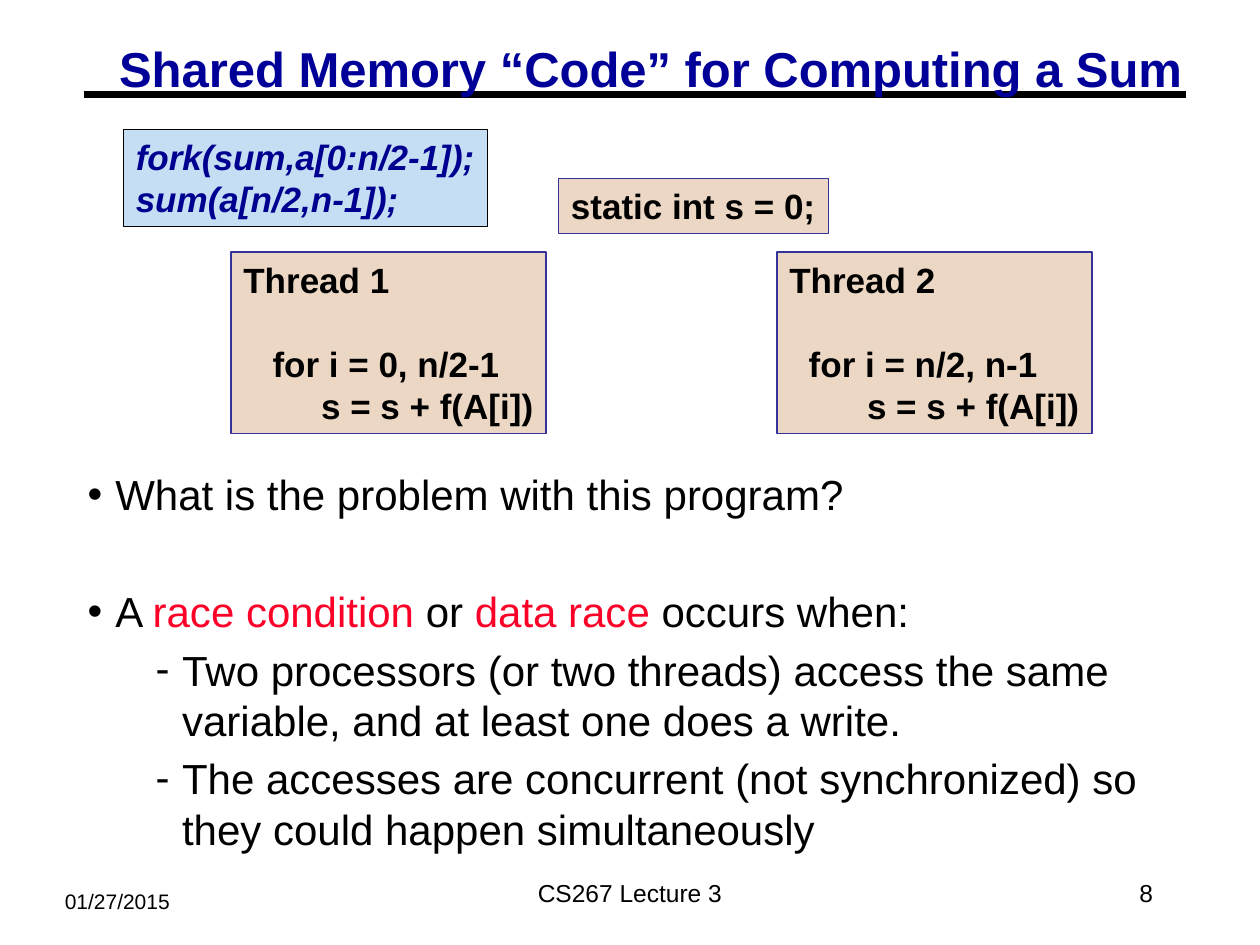
from lxml.etree import SubElement
from pptx import Presentation
from pptx.dml.color import RGBColor
from pptx.enum.shapes import MSO_CONNECTOR, MSO_SHAPE
from pptx.enum.text import MSO_ANCHOR, MSO_AUTO_SIZE, PP_ALIGN
from pptx.oxml.ns import qn
from pptx.util import Inches, Pt

COLUMNS, ROWS = 120, 90
BLACK, RED, NAVY = "000000", "FC0128", "000099"
TAN, INDIGO = "EBD7C3", "333399"
CODE = {"size": Pt(20), "bold": True}
NARROW = (0.07, 0.03)
WIDE = (0.1, 0.05)


def color(value):
    return RGBColor.from_string(value)


def set_attributes(target, values):
    for name, value in values.items():
        setattr(target, name, value)


class LectureSlide:
    font_name = "Arial"

    def __init__(self, presentation):
        self.slide = presentation.slides.add_slide(presentation.slide_layouts[1])
        self.column = presentation.slide_width / COLUMNS
        self.row = presentation.slide_height / ROWS

    def area(self, left, top, width, height):
        """Turn grid columns and rows into slide lengths."""
        return (round(left * self.column), round(top * self.row),
                round(width * self.column), round(height * self.row))

    def place(self, shape, grid):
        names = ("left", "top", "width", "height")
        set_attributes(shape, dict(zip(names, self.area(*grid))))

    def frame(self, shape, margins, wrap=True, anchor=MSO_ANCHOR.TOP):
        side, edge = (Inches(margin) for margin in margins)
        set_attributes(shape.text_frame, {
            "auto_size": MSO_AUTO_SIZE.NONE, "word_wrap": wrap,
            "vertical_anchor": anchor, "margin_left": side,
            "margin_right": side, "margin_top": edge, "margin_bottom": edge})
        return shape.text_frame

    def add_runs(self, paragraph, runs, font, **layout):
        """Add runs, each a (text, colour) pair, to a paragraph."""
        set_attributes(paragraph, {"alignment": PP_ALIGN.LEFT, **layout})
        for text, ink in runs:
            run = paragraph.add_run()
            run.text = text
            set_attributes(run.font, {"name": self.font_name, **font})
            run.font.color.rgb = color(ink)

    def paragraphs(self, text_frame, count):
        return [text_frame.paragraphs[0]] + [
            text_frame.add_paragraph() for _ in range(count - 1)]

    def title(self, text, grid):
        shape = self.slide.shapes.title
        self.place(shape, grid)
        text_frame = self.frame(shape, NARROW)
        self.add_runs(text_frame.paragraphs[0], [(text, NAVY)],
                      {"size": Pt(28), "bold": True}, line_spacing=0.87)

    def rule(self, left, right, row):
        """Draw the heavy line behind the title."""
        x, y, width, _ = self.area(left, row, right - left, 0)
        line = self.slide.shapes.add_connector(
            MSO_CONNECTOR.STRAIGHT, x, y, x + width, y)
        line.line.color.rgb = color(BLACK)
        line.line.width = Pt(3.75)
        SubElement(line._element.spPr, qn("a:effectLst"))
        self.slide.shapes._spTree.insert(2, line._element)

    def label(self, text, grid, size, alignment, anchor=MSO_ANCHOR.MIDDLE):
        shape = self.slide.shapes.add_textbox(*self.area(*grid))
        text_frame = self.frame(shape, WIDE, anchor=anchor)
        self.add_runs(text_frame.paragraphs[0], [(text, BLACK)],
                      {"size": Pt(size)}, alignment=alignment)

    def code_box(self, lines, grid, fill=TAN, border=INDIGO, width=1,
                 ink=BLACK, italic=False, gap_before=None):
        """Draw a code box; gap_before is the line that follows a gap."""
        shape = self.slide.shapes.add_shape(
            MSO_SHAPE.RECTANGLE, *self.area(*grid))
        shape.shadow.inherit = False
        shape.fill.solid()
        shape.fill.fore_color.rgb = color(fill)
        shape.line.color.rgb = color(border)
        shape.line.width = Pt(width)
        text_frame = self.frame(shape, WIDE, wrap=False)
        for index, paragraph in enumerate(self.paragraphs(text_frame, len(lines))):
            self.add_runs(paragraph, [(lines[index], ink)],
                          {**CODE, "italic": italic},
                          space_before=Pt(24 if index == gap_before else 0))

    def bullets(self, items, grid):
        """Fill the body with (level, space before, runs) items."""
        shape = self.slide.placeholders[1]
        self.place(shape, grid)
        text_frame = self.frame(shape, NARROW)
        styles = [("•", 0.22, -0.22), ("-", 0.75, -0.21)]
        for paragraph, (level, space, runs) in zip(
                self.paragraphs(text_frame, len(items)), items):
            mark, margin, indent = styles[level]
            properties = paragraph._p.get_or_add_pPr()
            properties.set("marL", str(Inches(margin)))
            properties.set("indent", str(Inches(indent)))
            bullet_color = SubElement(properties, qn("a:buClr"))
            SubElement(bullet_color, qn("a:srgbClr"), val=BLACK)
            SubElement(properties, qn("a:buFont"), typeface=self.font_name)
            SubElement(properties, qn("a:buChar"), char=mark)
            self.add_runs(paragraph, runs, {"size": Pt(24)},
                          level=level, space_before=Pt(space))


def main():
    presentation = Presentation()
    presentation.slide_width, presentation.slide_height = Inches(10), Inches(7.5)
    page = LectureSlide(presentation)

    page.rule(8, 113, 9)
    page.title("Shared Memory “Code” for Computing a Sum", (10.5, 4.1, 103.1, 5.5))
    page.label("01/27/2015", (5, 84, 23, 3.6), 12, PP_ALIGN.LEFT, MSO_ANCHOR.TOP)
    page.label("CS267 Lecture 3", (41, 82, 38, 6), 14, PP_ALIGN.CENTER)
    page.label("8", (86, 82, 25, 6), 14, PP_ALIGN.RIGHT)

    threads = [(22, "Thread 1", "   for i = 0, n/2-1"),
               (74, "Thread 2", "  for i = n/2, n-1")]
    for left, name, loop in threads:
        page.code_box([name, loop, "        s = s + f(A[i])"],
                      (left, 24, 30, 17.3), gap_before=1)
    page.code_box(["static int s = 0;"], (53.2, 17, 25.7, 5.25))
    page.bullets([
        (0, 0, [("What is the problem with this program?", BLACK)]),
        (0, 38, [("A ", BLACK), ("race condition", RED), (" or ", BLACK),
                 ("data race", RED), (" occurs when:", BLACK)]),
        (1, 4.5, [("Two processors (or two threads) access the same variable, "
                   "and at least one does a write.", BLACK)]),
        (1, 4.5, [("The accesses are concurrent (not synchronized) so they "
                   "could happen simultaneously", BLACK)]),
    ], (7.5, 44.3, 105, 37.3))
    page.code_box(["fork(sum,a[0:n/2-1]);", "sum(a[n/2,n-1]);"],
                  (11.75, 12.35, 34.7, 9.25), fill="C5DEF3", border=BLACK,
                  width=0.75, ink="000090", italic=True)

    presentation.save("out.pptx")


if __name__ == "__main__":
    main()
